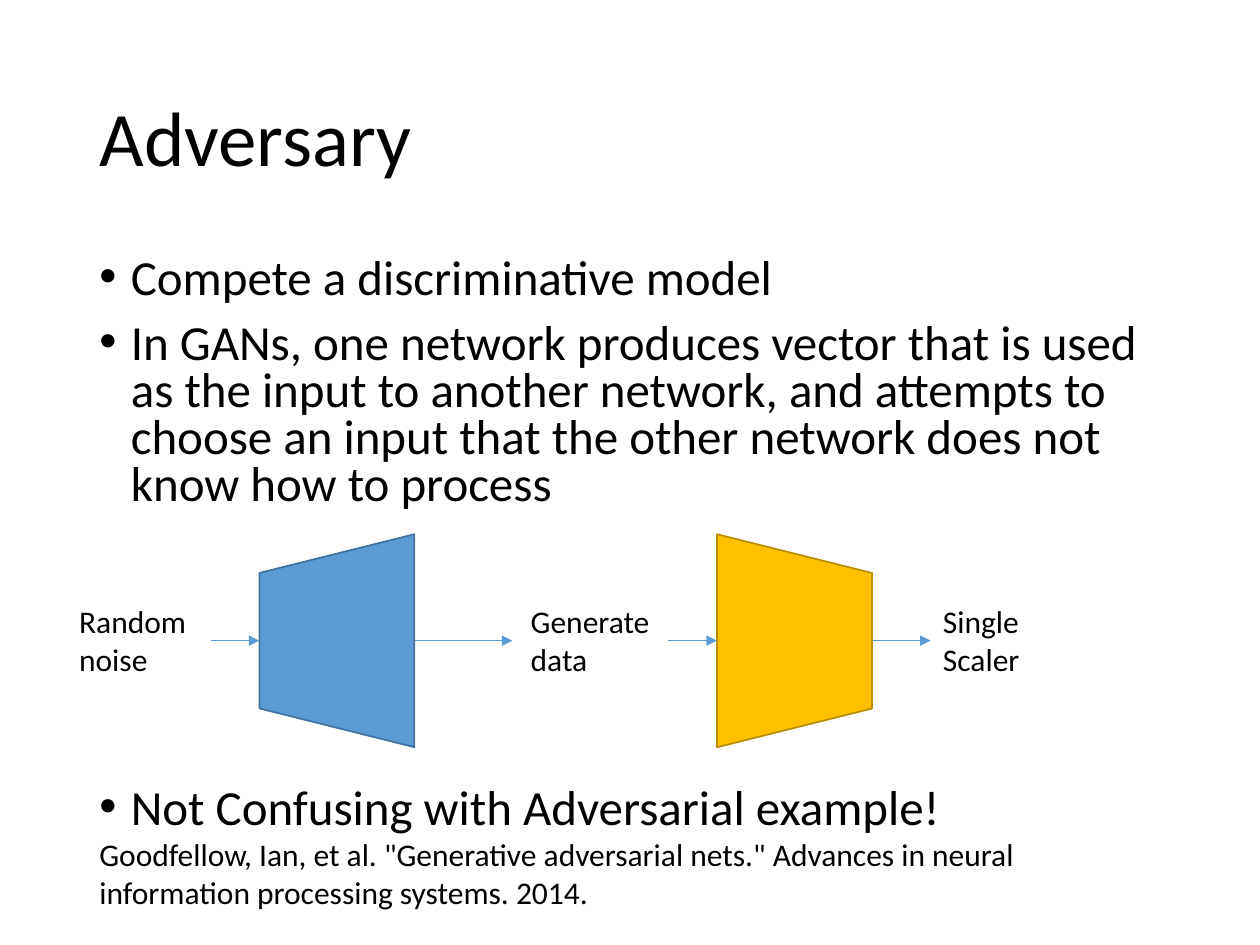
from lxml import etree
from pptx import Presentation
from pptx.dml.color import RGBColor
from pptx.enum.shapes import MSO_CONNECTOR, MSO_SHAPE
from pptx.enum.text import MSO_ANCHOR, PP_ALIGN
from pptx.oxml.ns import qn
from pptx.util import Inches, Pt

STRAIGHT = MSO_CONNECTOR.STRAIGHT
TRAPEZOID = MSO_SHAPE.TRAPEZOID
MIDDLE, TOP = MSO_ANCHOR.MIDDLE, MSO_ANCHOR.TOP
LEFT = PP_ALIGN.LEFT

FONT = "Calibri"
COLORS = {
    "text": "000000",
    "generator": "5B9BD5",
    "generator_edge": "43739E",
    "discriminator": "FFC000",
    "discriminator_edge": "BD8E00",
    "arrow": "5B9BD5",
}
WIDTH, HEIGHT = 10, 7.5
MARGIN = 0.69
CONTENT_WIDTH = WIDTH - 2 * MARGIN
LABEL_HEIGHT = 0.71
BULLET_INDENT = 0.25
DIAGRAM_GAP = 158


def color(name):
    """Return the named colour."""
    return RGBColor.from_string(COLORS[name])


def format_paragraph(para, size, spacing=None, before=0):
    """Give a paragraph its font, line spacing and space before."""
    para.alignment = LEFT
    para.space_before = Pt(before)
    if spacing:
        para.line_spacing = spacing
    for span in para.runs:
        span.font.name = FONT
        span.font.size = Pt(size)
        span.font.color.rgb = color("text")


def add_bullet(para):
    """Give a paragraph a hanging round bullet."""
    properties = para._p.get_or_add_pPr()
    properties.set("marL", str(Inches(BULLET_INDENT)))
    properties.set("indent", str(-Inches(BULLET_INDENT)))
    etree.SubElement(properties, qn("a:buFont")).set("typeface", "Arial")
    etree.SubElement(properties, qn("a:buChar")).set("char", "•")


def add_text(page, box, lines, size=18):
    """Add a wrapping text box with one paragraph a line."""
    frame = page.shapes.add_textbox(*map(Inches, box)).text_frame
    frame.word_wrap = True
    frame.vertical_anchor = TOP
    frame.text = "\n".join(lines)
    for para in frame.paragraphs:
        format_paragraph(para, size)
    return frame


def add_title(page, box, text):
    """Place and format the title placeholder."""
    title = page.shapes.title
    title.left, title.top, title.width, title.height = map(Inches, box)
    frame = title.text_frame
    frame.text = text
    frame.vertical_anchor = MIDDLE
    format_paragraph(frame.paragraphs[0], 44, 0.9)


def add_body(page, box, bullets):
    """Add the bullets, leaving room for the diagram before the last."""
    frame = add_text(page, box, bullets, 28)
    for para in frame.paragraphs:
        format_paragraph(para, 28, 0.8, 10)
        add_bullet(para)
    frame.paragraphs[-1].space_before = Pt(DIAGRAM_GAP)


def add_network(page, center_x, center_y, width, height, name, rotation):
    """Add a trapezoid turned on its side; width and height are as seen."""
    shape = page.shapes.add_shape(
        TRAPEZOID, Inches(center_x - height / 2), Inches(center_y - width / 2),
        Inches(height), Inches(width))
    shape.rotation = rotation
    shape.shadow.inherit = False
    shape.fill.solid()
    shape.fill.fore_color.rgb = color(name)
    shape.line.color.rgb = color(name + "_edge")
    shape.line.width = Pt(1)


def add_arrow(page, start, end, y):
    """Add a level arrow pointing right."""
    arrow = page.shapes.add_connector(
        STRAIGHT, Inches(start), Inches(y), Inches(end), Inches(y))
    arrow.line.color.rgb = color("arrow")
    arrow.line.width = Pt(0.5)
    etree.SubElement(arrow.line._get_or_add_ln(), qn("a:tailEnd")).set("type", "triangle")
    etree.SubElement(arrow._element.spPr, qn("a:effectLst"))


def add_diagram(page, box):
    """Draw the chain from noise through both networks to the scalar."""
    left, top, width, height = box
    middle = top + height / 2
    networks = [("generator", 0.268, 270), ("discriminator", 0.722, 90)]
    labels = [("Random noise", 0, 0.143), ("Generate data", 0.448, 0.149),
              ("Single Scaler", 0.857, 0.143)]
    arrows = [(0.143, 0.191), (0.345, 0.442), (0.596, 0.645), (0.8, 0.857)]
    for name, center, rotation in networks:
        add_network(page, left + center * width, middle, 1.23, height, name, rotation)
    for text, start, share in labels:
        label_box = (left + start * width, middle - LABEL_HEIGHT / 2,
                     share * width, LABEL_HEIGHT)
        add_text(page, label_box, [text])
    for start, end in arrows:
        add_arrow(page, left + start * width, left + end * width, middle)


def build():
    """Build and save the deck."""
    deck = Presentation()
    deck.slide_width, deck.slide_height = Inches(WIDTH), Inches(HEIGHT)
    page = deck.slides.add_slide(deck.slide_layouts[5])
    add_title(page, (MARGIN, 0.4, CONTENT_WIDTH, 1.45), "Adversary")
    add_body(page, (MARGIN, 2, CONTENT_WIDTH, 4.76), [
        "Compete a discriminative model",
        "In GANs, one network produces vector that is used as the input to "
        "another network, and attempts to choose an input that the other "
        "network does not know how to process",
        "Not Confusing with Adversarial example!",
    ])
    add_diagram(page, (0.53, 4.24, 8, 1.69))
    add_text(page, (MARGIN, 6.58, 8.38, LABEL_HEIGHT), [
        'Goodfellow, Ian, et al. "Generative adversarial nets." Advances in '
        "neural information processing systems. 2014."])
    deck.save("out.pptx")


build()
